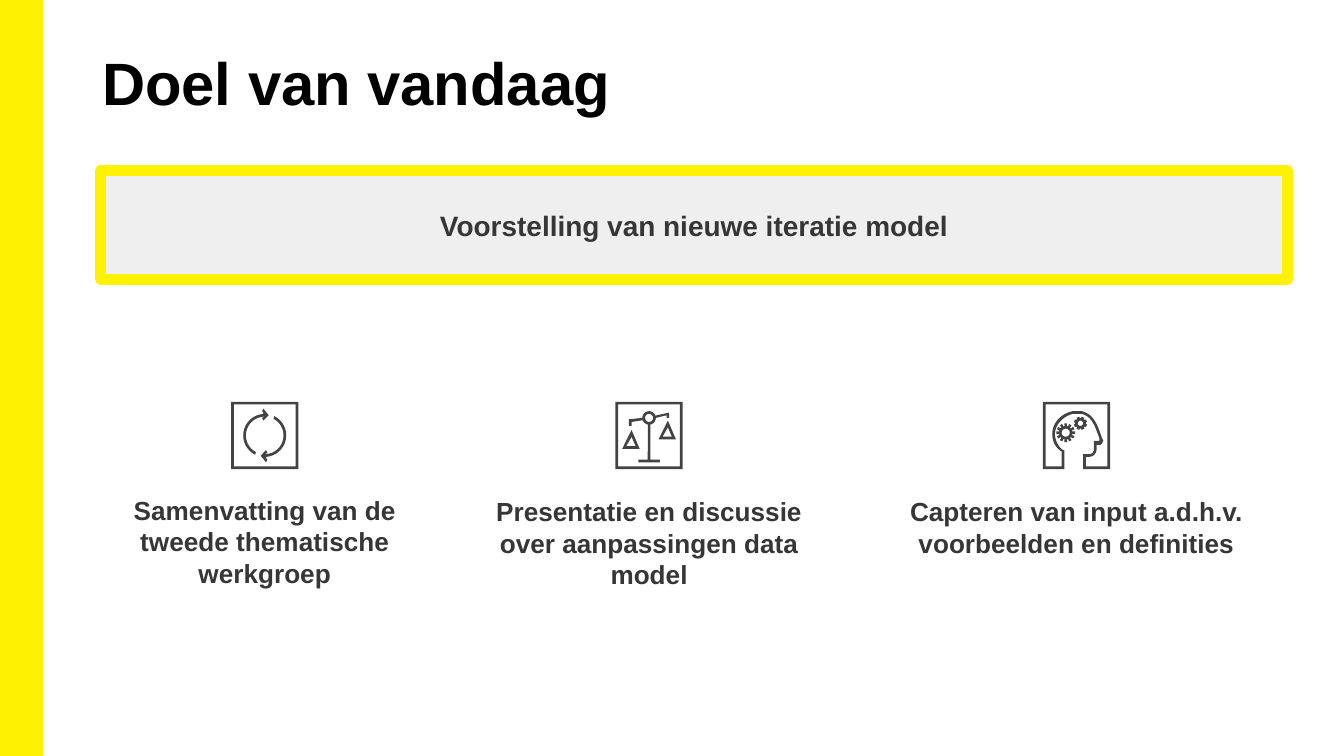
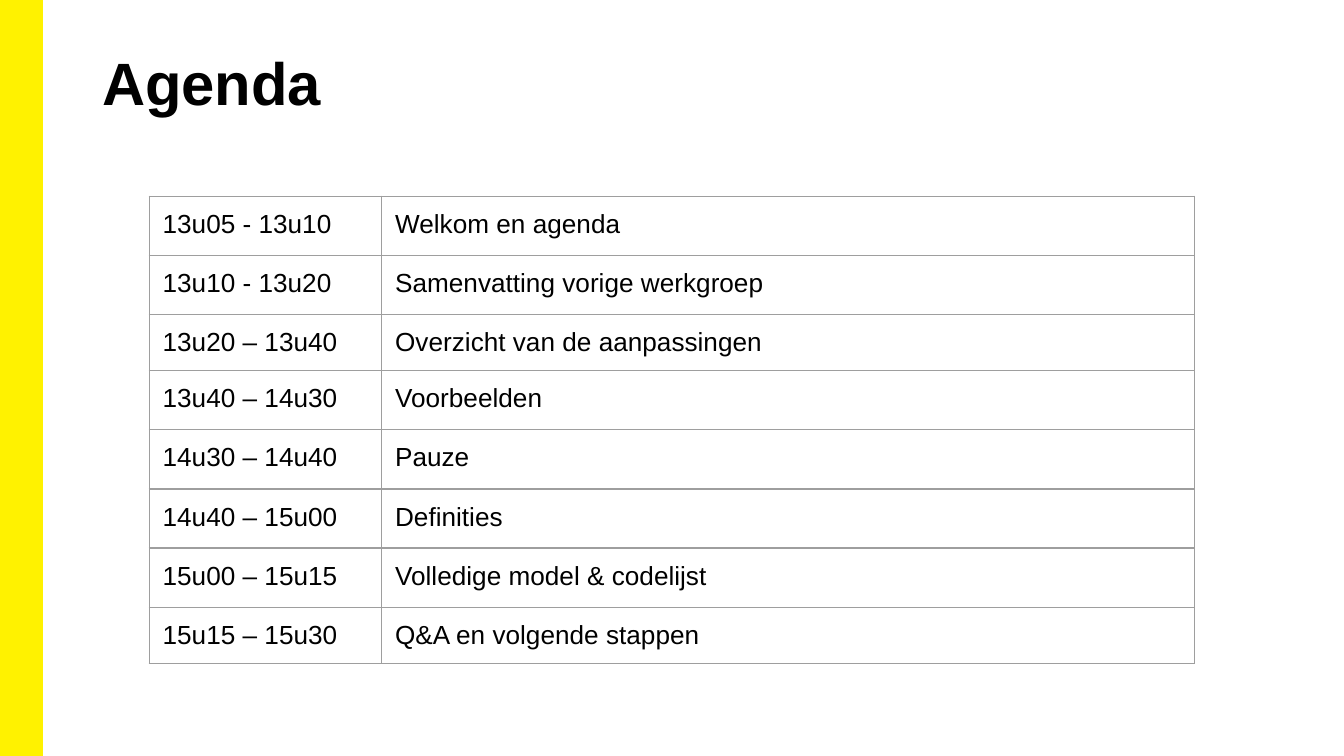
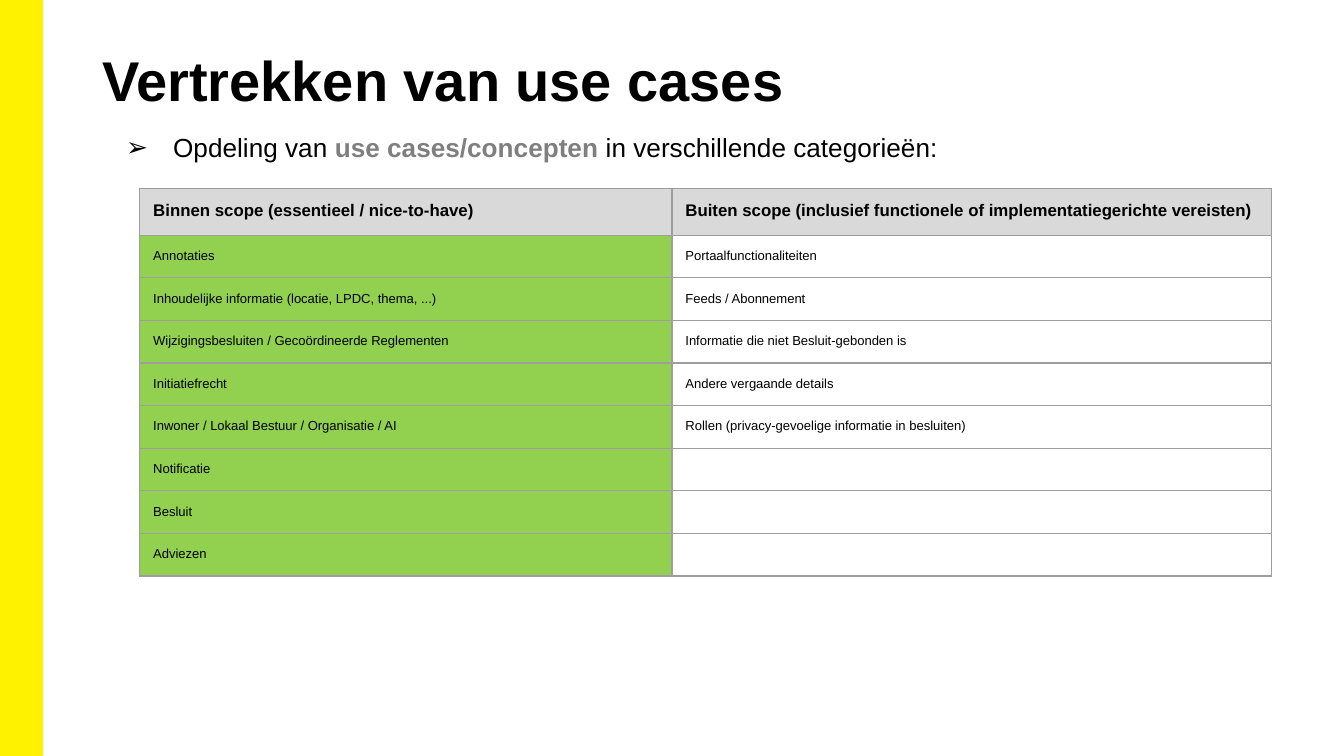
from math import cos, sin, radians

from pptx import Presentation
from pptx.dml.color import RGBColor
from pptx.enum.shapes import MSO_SHAPE as Kind
from pptx.enum.text import MSO_ANCHOR as Anchor, MSO_AUTO_SIZE as Auto, PP_ALIGN as Align
from pptx.oxml.xmlchemy import OxmlElement as Node
from pptx.util import Inches, Pt

# Shared style
WIDE = 10
HIGH = WIDE * 9 / 16
FONT = "Arial"
BLACK, DARK, ICON = "000000", "373636", "434343"
YELLOW, PALE, GRID = "FFF200", "EFEFEF", "9E9E9E"
HEAD, GREEN, MUTED = "D9D9D9", "92D050", "7F7F7F"


def rgb(code):
    return RGBColor.from_string(code)


def box(*nums):
    return [Inches(n) for n in nums]


def write(frame, text, size=14, color=BLACK, bold=False, align=None, pad=(0.1, 0.05),
          bullet=None):
    """Fill a frame with a string, or with (text, format) runs."""
    frame.word_wrap = True
    frame.margin_left = frame.margin_right = Inches(pad[0])
    frame.margin_top = frame.margin_bottom = Inches(pad[1])
    para = frame.paragraphs[0]
    if align:
        para.alignment = align
    if bullet:
        props = para._p.get_or_add_pPr()
        props.set("marL", str(Inches(0.5)))
        props.set("indent", str(Inches(-0.35)))
        tint, face, mark = Node("a:buClr"), Node("a:buFont"), Node("a:buChar")
        shade = Node("a:srgbClr")
        shade.set("val", color)
        tint.append(shade)
        face.set("typeface", FONT)
        mark.set("char", bullet)
        props.extend([tint, face, mark])
    for part, extra in [(text, {})] if isinstance(text, str) else text:
        if not part:
            para._p.get_or_add_endParaRPr().set("sz", str(size * 100))
            continue
        run = para.add_run()
        run.text = part
        font = run.font
        font.name, font.size = FONT, Pt(size)
        font.bold = extra.get("bold", bold)
        font.color.rgb = rgb(extra.get("color", color))


# Outline geometry, in inches
def arc(mid, rad, start, end, steps=24):
    turns = [radians(start + (end - start) * i / steps) for i in range(steps + 1)]
    return [(mid[0] + rad * cos(t), mid[1] + rad * sin(t)) for t in turns]


def bend(a, b, c, d, steps=10):
    """Points along a cubic curve."""
    spots = []
    for i in range(steps + 1):
        t = i / steps
        u = 1 - t
        spots.append(tuple(u**3 * p + 3 * u * u * t * q + 3 * u * t * t * r + t**3 * s
                           for p, q, r, s in zip(a, b, c, d)))
    return spots


def square(low, high):
    return [(low, low), (low, high), (high, high), (high, low)]


def shift(points, x, y):
    return [(px + x, py + y) for px, py in points]


def gear(mid, rad, root, hole, teeth, turn=0):
    step = 360 / teeth
    rim = []
    for i in range(teeth):
        at = turn + i * step
        for size, part in ((root, -0.32), (rad, -0.28), (rad, 0.28), (root, 0.32)):
            rim += arc(mid, size, at + part * step, at, 1)[:1]
    return [rim, arc(mid, hole, 360, 0)]


FRAME = [square(0, 0.5), square(0.02, 0.48)[::-1]]


def cycle():
    mid = (0.25, 0.25)
    tip = [(0.23, 0.12), (0.24, 0.14), (0.28, 0.1), (0.24, 0.05), (0.23, 0.07), (0.24, 0.08)]
    left = arc(mid, 0.14, 118, 270) + tip + arc(mid, 0.16, 266, 116)
    right = [(0.5 - x, 0.5 - y) for x, y in left]
    return [FRAME, [left], [right]]


def scales():
    pan = [(0.12, 0.21), (0.05, 0.35), (0.18, 0.35)]
    gap = [(0.12, 0.26), (0.15, 0.33), (0.08, 0.33)]
    hub = (0.25, 0.12)
    stand = [(0.24, 0.43), (0.17, 0.43), (0.17, 0.45), (0.33, 0.45), (0.33, 0.43), (0.26, 0.43)]
    beam = ([(0.12, 0.18), (0.12, 0.15)] + arc(hub, 0.05, 160, 100) + stand
            + arc(hub, 0.05, 80, 0)
            + [(0.38, 0.1), (0.38, 0.12), (0.4, 0.12), (0.4, 0.08)]
            + arc(hub, 0.05, -20, -180) + [(0.1, 0.13), (0.1, 0.18)])
    pans = [pan, gap, shift(pan, 0.27, -0.07), shift(gap, 0.27, -0.07)]
    return [FRAME + pans + [beam, arc(hub, 0.03, 0, 360)]]


def mind():
    outer = ([(0, 0), (0, 0.5), (0.16, 0.5), (0.16, 0.36)]
             + bend((0.15, 0.36), (0.11, 0.33), (0.09, 0.28), (0.09, 0.24))
             + bend((0.09, 0.24), (0.09, 0.17), (0.15, 0.11), (0.22, 0.09))
             + bend((0.29, 0.09), (0.37, 0.11), (0.39, 0.19), (0.42, 0.27))
             + [(0.42, 0.29), (0.38, 0.29)]
             + bend((0.38, 0.35), (0.38, 0.38), (0.36, 0.39), (0.34, 0.39))
             + [(0.3, 0.39), (0.3, 0.5), (0.5, 0.5), (0.5, 0)])
    inner = ([(0.48, 0.48), (0.32, 0.48), (0.32, 0.41)]
             + bend((0.34, 0.41), (0.37, 0.41), (0.4, 0.39), (0.4, 0.35))
             + [(0.4, 0.32), (0.43, 0.32), (0.44, 0.31), (0.45, 0.29)]
             + bend((0.44, 0.27), (0.41, 0.18), (0.38, 0.09), (0.29, 0.07))
             + bend((0.22, 0.07), (0.13, 0.09), (0.07, 0.16), (0.07, 0.24))
             + bend((0.07, 0.24), (0.07, 0.29), (0.09, 0.34), (0.14, 0.37))
             + [(0.14, 0.48), (0.02, 0.48), (0.02, 0.02), (0.48, 0.02)])
    return [[outer, inner], gear((0.17, 0.23), 0.07, 0.05, 0.03, 12),
            gear((0.28, 0.16), 0.05, 0.04, 0.02, 8, 22.5)]


class Deck:
    def __init__(self):
        self.show = Presentation()
        self.show.slide_width, self.show.slide_height = box(WIDE, HIGH)

    def page(self, title, size=32, place=(0.69, 0.3, 8.62, 0.81)):
        self.slide = self.show.slides.add_slide(self.show.slide_layouts[6])
        self.shapes = self.slide.shapes
        self.panel((0, 0, 0.31, HIGH), YELLOW, 1)
        self.text(place, title, size=size, bold=True, pad=(0.07, 0.04))

    def text(self, place, text, grow=False, **form):
        frame = self.shapes.add_textbox(*box(*place)).text_frame
        write(frame, text, **form)
        frame.auto_size = Auto.SHAPE_TO_FIT_TEXT if grow else Auto.NONE

    def panel(self, place, fill, width, text=None, **form):
        shape = self.shapes.add_shape(Kind.RECTANGLE, *box(*place))
        shape.shadow.inherit = False
        shape.fill.solid()
        shape.fill.fore_color.rgb = rgb(fill)
        shape.line.color.rgb = rgb(YELLOW)
        shape.line.width = Pt(width)
        shape.line._get_or_add_ln().append(Node("a:round"))
        if text:
            shape.text_frame.vertical_anchor = Anchor.MIDDLE
            write(shape.text_frame, text, **form)

    def icon(self, left, top, parts):
        for loops in parts:
            rings = [[box(*spot) for spot in shift(loop, left, top)] for loop in loops]
            path = self.shapes.build_freeform(*rings[0][0])
            path.add_line_segments(rings[0][1:], close=True)
            for ring in rings[1:]:
                path.move_to(*ring[0])
                path.add_line_segments(ring[1:], close=True)
            shape = path.convert_to_shape()
            shape.shadow.inherit = False
            shape.fill.solid()
            shape.fill.fore_color.rgb = rgb(ICON)
            shape.line.fill.background()

    def table(self, place, cols, highs, rows, form):
        """form(row, col) gives the cell fill and its text format."""
        grid = self.shapes.add_table(len(rows), len(cols), *box(*place)).table
        grid.first_row = grid.horz_banding = False
        for col, width in zip(grid.columns, cols):
            col.width = Inches(width)
        for r, (high, row) in enumerate(zip(highs, rows)):
            grid.rows[r].height = Inches(high)
            for c, text in enumerate(row):
                cell = grid.cell(r, c)
                fill, style = form(r, c)
                self.edge(cell)
                if fill:
                    cell.fill.solid()
                    cell.fill.fore_color.rgb = rgb(fill)
                else:
                    cell.fill.background()
                write(cell.text_frame, text, **style)
                cell.margin_left = cell.margin_right = Inches(0.1)
                cell.margin_top = cell.margin_bottom = Inches(0.1)

    def edge(self, cell):
        props = cell._tc.get_or_add_tcPr()
        for side in "LRTB":
            line, fill, shade = Node("a:ln" + side), Node("a:solidFill"), Node("a:srgbClr")
            line.set("w", str(Pt(0.75)))
            shade.set("val", GRID)
            fill.append(shade)
            line.append(fill)
            props.append(line)


def main():
    deck = Deck()

    # Goal of the day
    deck.page("Doel van vandaag")
    deck.panel((0.75, 1.27, 8.83, 0.81), PALE, 6, "Voorstelling van nieuwe iteratie model",
               size=15, color=DARK, bold=True, align=Align.CENTER)
    goals = [
        (0.61, 3.63, 2.72, 1.72, cycle, "Samenvatting van de tweede thematische werkgroep"),
        (3.43, 3.64, 2.8, 4.58, scales, "Presentatie en discussie over aanpassingen data model"),
        (6.61, 3.64, 2.8, 7.76, mind, "Capteren van input a.d.h.v. voorbeelden en definities"),
    ]
    for left, top, width, spot, draw, text in goals:
        deck.text((left, top, width, 1.28), text, color=DARK, bold=True, align=Align.CENTER)
        deck.icon(spot, 2.99, draw())

    # Agenda
    deck.page("Agenda")
    plan = [
        ("13u05 - 13u10", "Welkom en agenda"),
        ("13u10 - 13u20", "Samenvatting vorige werkgroep"),
        ("13u20 – 13u40", "Overzicht van de aanpassingen"),
        ("13u40 – 14u30", "Voorbeelden"),
        ("14u30 – 14u40", "Pauze"),
        ("14u40 – 15u00", "Definities"),
        ("15u00 – 15u15", "Volledige model & codelijst"),
        ("15u15 – 15u30", "Q&A en volgende stappen"),
    ]
    highs = [0.44] * 2 + [0.41] + [0.44] * 4 + [0.39]
    deck.table((1.11, 1.46, 7.78, 3.48), (1.73, 6.05), highs, plan,
               lambda r, c: (None, {"size": 14}))

    # Use cases in and out of scope
    deck.page("Vertrekken van use cases", 30, (0.69, 0.3, 8.97, 0.6))
    deck.text((0.69, 0.88, 8.77, 0.44),
              [("Opdeling van ", {}),
               ("use cases/concepten", {"color": MUTED, "bold": True}),
               (" in verschillende categorieën:", {})],
              grow=True, pad=(0.1, 0.1), bullet="➢")
    scope = [
        ("Binnen scope (essentieel / nice-to-have)",
         "Buiten scope (inclusief functionele of implementatiegerichte vereisten)"),
        ("Annotaties", "Portaalfunctionaliteiten"),
        ("Inhoudelijke informatie (locatie, LPDC, thema, ...)", "Feeds / Abonnement"),
        ("Wijzigingsbesluiten / Gecoördineerde Reglementen",
         "Informatie die niet Besluit-gebonden is"),
        ("Initiatiefrecht", "Andere vergaande details"),
        ("Inwoner / Lokaal Bestuur / Organisatie / AI",
         "Rollen (privacy-gevoelige informatie in besluiten)"),
        ("Notificatie", ""),
        ("Besluit", ""),
        ("Adviezen", ""),
    ]

    def look(r, c):
        if r == 0:
            return HEAD, {"size": 9, "bold": True}
        return (None if c else GREEN), {"size": 7}

    deck.table((1.04, 1.4, 8.42, 2.88), (3.96, 4.46), [0.27] + [0.25] * 8, scope, look)

    deck.show.save("out.pptx")


if __name__ == "__main__":
    main()
